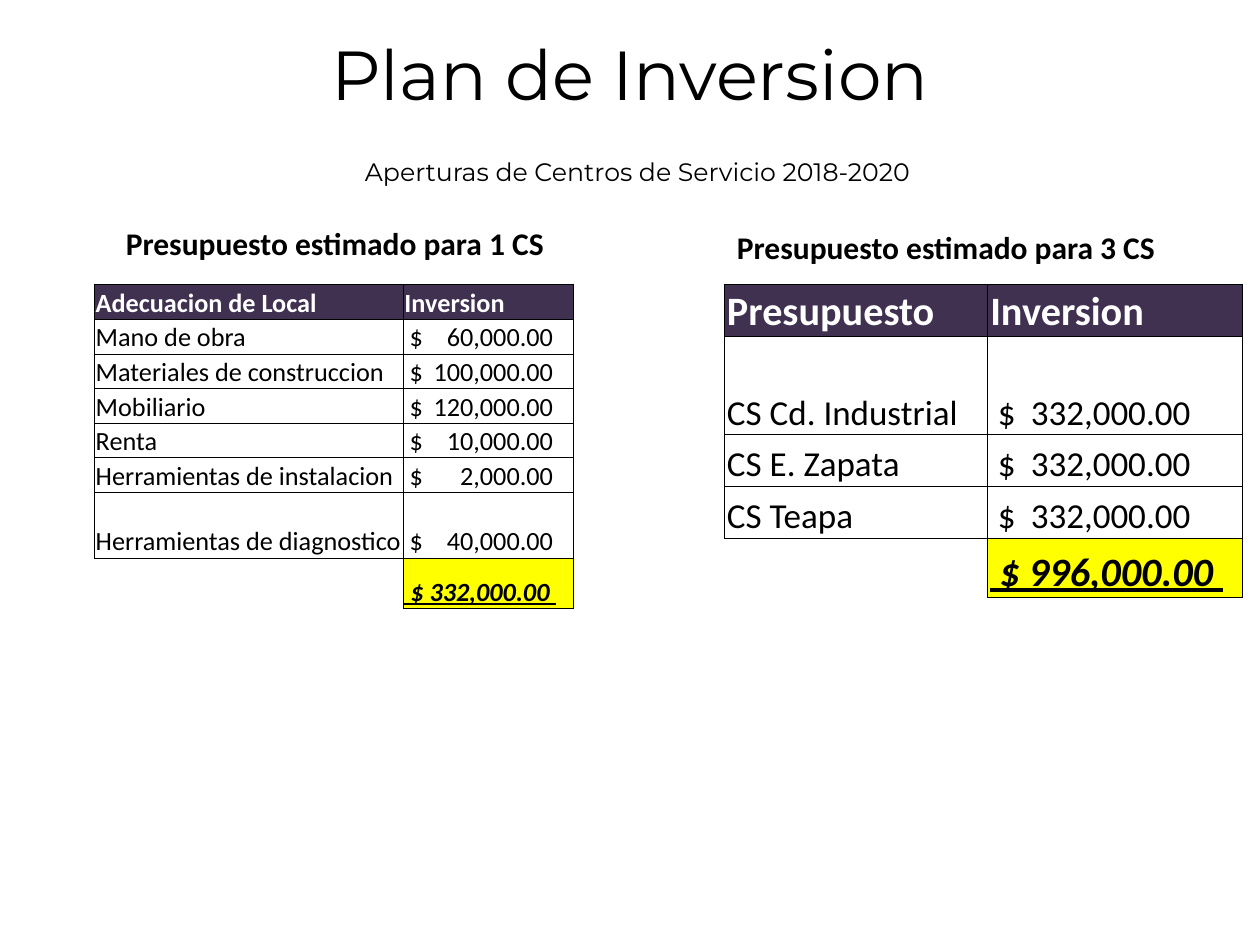
from lxml import etree
from pptx import Presentation
from pptx.dml.color import RGBColor
from pptx.enum.text import MSO_ANCHOR, PP_ALIGN
from pptx.oxml.ns import qn
from pptx.util import Inches, Pt

BOTTOM = MSO_ANCHOR.BOTTOM
CENTER = PP_ALIGN.CENTER
BLACK, WHITE, PURPLE, YELLOW = "000000", "FFFFFF", "403151", "FFFF00"
SIDES = ("L", "R", "T", "B")


def color(value):
    return RGBColor.from_string(value)


def style(paragraph, name, size, ink=BLACK, bold=False):
    font = paragraph.font
    font.name, font.size, font.bold = name, Pt(size), bold
    font.color.rgb = color(ink)


def add_title(slide, title, subtitle):
    shape = slide.shapes.add_textbox(Inches(0.5), Inches(0.25), Inches(9), Inches(1.3))
    frame = shape.text_frame
    frame.word_wrap = True
    frame.margin_top = frame.margin_bottom = 0
    frame.text = f"{title}\n{subtitle}"
    heading, detail = frame.paragraphs
    heading.alignment = detail.alignment = CENTER
    detail.space_before = Pt(24)
    detail._p.get_or_add_pPr().set("marL", str(Inches(0.12)))
    style(heading, "Montserrat", 39.6)
    style(detail, "Montserrat", 14.4)


def add_caption(slide, left, top, text):
    shape = slide.shapes.add_textbox(Inches(left), Inches(top), Inches(3.55), Inches(0.4))
    shape.text_frame.word_wrap = False
    paragraph = shape.text_frame.paragraphs[0]
    paragraph.text = text
    style(paragraph, "Calibri", 18, bold=True)


def set_borders(cell, visible=SIDES):
    properties = cell._tc.get_or_add_tcPr()
    for index, side in enumerate(SIDES):
        line = etree.Element(qn(f"a:ln{side}"), w=str(Pt(0.5)))
        if side in visible:
            fill = etree.SubElement(line, qn("a:solidFill"))
            etree.SubElement(fill, qn("a:srgbClr"), val=BLACK)
        else:
            etree.SubElement(line, qn("a:noFill"))
        properties.insert(index, line)


def format_cell(cell, text, inset, size, ink=BLACK, bold=False, fill=None):
    cell.margin_left = cell.margin_right = cell.margin_top = Inches(inset)
    cell.margin_bottom = 0
    cell.vertical_anchor = BOTTOM
    if fill:
        cell.fill.solid()
        cell.fill.fore_color.rgb = color(fill)
    else:
        cell.fill.background()
    set_borders(cell)
    paragraph = cell.text_frame.paragraphs[0]
    paragraph.text = text
    style(paragraph, "Calibri", size, ink, bold)
    return paragraph


def format_amount(cell, amount, inset, size, indent, tab):
    properties = cell.text_frame.paragraphs[0]._p.get_or_add_pPr()
    tabs = etree.SubElement(properties, qn("a:tabLst"))
    etree.SubElement(tabs, qn("a:tab"), pos=str(Inches(tab)), algn="r")
    format_cell(cell, f"$\t{amount}", inset, size)
    cell.margin_left = Inches(indent)


def add_budget(slide, left, widths, heights, headers, items, total,
               inset, strong_size, size, indent, tab):
    shape = slide.shapes.add_table(len(heights), len(widths), Inches(left), Inches(2.26),
                                   Inches(sum(widths)), Inches(sum(heights)))
    table = shape.table
    table.first_row = table.horz_banding = False
    for column, width in zip(table.columns, widths):
        column.width = Inches(width)
    for row, height in zip(table.rows, heights):
        row.height = Inches(height)

    for index, header in enumerate(headers):
        format_cell(table.cell(0, index), header, inset, strong_size, WHITE, True, PURPLE)
    for index, (label, amount) in enumerate(items, 1):
        format_cell(table.cell(index, 0), label, inset, size)
        format_amount(table.cell(index, 1), amount, inset, size, indent, tab)

    last = len(heights) - 1
    empty = table.cell(last, 0)
    empty.fill.background()
    set_borders(empty, ("T", "R"))
    paragraph = format_cell(table.cell(last, 1), f" $ {total} ", inset, strong_size,
                            bold=True, fill=YELLOW)
    paragraph.font.italic = paragraph.font.underline = True


def main():
    presentation = Presentation()
    presentation.slide_width, presentation.slide_height = Inches(10), Inches(7.5)
    slide = presentation.slides.add_slide(presentation.slide_layouts[6])

    add_title(slide, "Plan de Inversion", "Aperturas de Centros de Servicio 2018-2020")
    local_items = [
        ("Mano de obra", "60,000.00"),
        ("Materiales de construccion", "100,000.00"),
        ("Mobiliario", "120,000.00"),
        ("Renta", "10,000.00"),
        ("Herramientas de instalacion", "2,000.00"),
        ("Herramientas de diagnostico", "40,000.00"),
    ]
    add_budget(slide, 0.75, [2.45, 1.35], [1.65 / 6] * 6 + [0.52, 0.32],
               ["Adecuacion de Local", "Inversion"], local_items, "332,000.00",
               inset=0.01, strong_size=15, size=15, indent=0.05, tab=1.14)
    centers = ["CS Cd. Industrial", "CS E. Zapata", "CS Teapa"]
    add_budget(slide, 5.75, [2.09, 2.02], [0.41, 0.78, 0.41, 0.41, 0.47],
               ["Presupuesto", "Inversion"],
               [(center, "332,000.00") for center in centers], "996,000.00",
               inset=0.02, strong_size=23, size=20, indent=0.08, tab=1.53)
    add_caption(slide, 0.9, 1.73, "Presupuesto estimado para 1 CS")
    add_caption(slide, 5.75, 1.76, "Presupuesto estimado para 3 CS")

    presentation.save("out.pptx")


if __name__ == "__main__":
    main()
